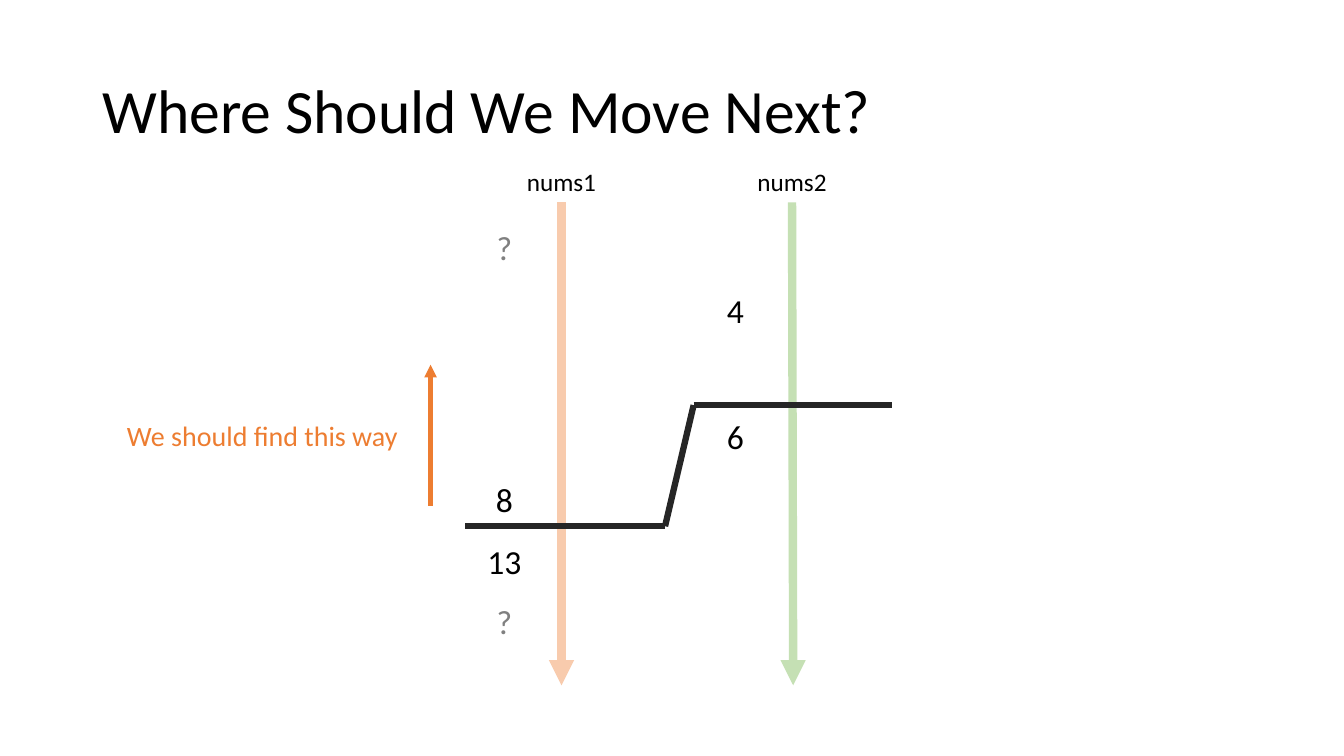
from lxml.etree import SubElement
from pptx import Presentation
from pptx.dml.color import RGBColor
from pptx.enum.shapes import MSO_CONNECTOR as CONN
from pptx.enum.text import MSO_ANCHOR as ANCHOR, MSO_AUTO_SIZE as FIT, PP_ALIGN as ALIGN
from pptx.oxml.ns import qn
from pptx.util import Cm, Pt

BLACK, GRAY, DARK, ORANGE = "000000", "808080", "262626", "ED7D31"

prs = Presentation()
prs.slide_width, prs.slide_height = Cm(33.87), Cm(19.05)
s = prs.slides.add_slide(prs.slide_layouts[6])


def add_text(text, x, y, w, h, size=24, color=BLACK, align=ALIGN.CENTER,
             anchor=ANCHOR.TOP, wrap=False, fit=FIT.SHAPE_TO_FIT_TEXT, spacing=1.0):
    tf = s.shapes.add_textbox(Cm(x), Cm(y), Cm(w), Cm(h)).text_frame
    tf.word_wrap, tf.auto_size, tf.vertical_anchor = wrap, fit, anchor
    p = tf.paragraphs[0]
    p.alignment, p.line_spacing = align, spacing
    r = p.add_run()
    r.text = text
    r.font.name, r.font.size = "Calibri", Pt(size)
    r.font.color.rgb = RGBColor.from_string(color)


def add_line(x1, y1, x2, y2, color, width, arrow=False):
    c = s.shapes.add_connector(CONN.STRAIGHT, Cm(x1), Cm(y1), Cm(x2), Cm(y2))
    c.line.color.rgb = RGBColor.from_string(color)
    c.line.width = Pt(width)
    if arrow:
        SubElement(c.line._get_or_add_ln(), qn("a:tailEnd"), type="triangle")
    SubElement(c._element.spPr, qn("a:effectLst"))


add_text("Where Should We Move Next?", 2.33, 1.02, 29.21, 3.68, size=44, align=ALIGN.LEFT,
         anchor=ANCHOR.MIDDLE, wrap=True, fit=FIT.NONE, spacing=0.9)

# Array axes: name, top x, bottom x, colour
for name, x1, x2, color in [("nums1", 14.15, 14.15, "F8CBAD"),
                            ("nums2", 19.96, 19.99, "C5E0B4")]:
    add_line(x1, 5.1, x2, 17.27, color, 6, arrow=True)
    add_text(name, x1 - 1.15, 4.06, 2.3, 1.02, size=18)

# Partition through both arrays
partition = [(11.73, 13.26), (16.76, 13.26), (17.48, 10.21), (22.48, 10.21)]
for start, end in zip(partition, partition[1:]):
    add_line(*start, *end, DARK, 4.5)

# Array values: text, centre x, top
nums1_x, nums2_x = 12.71, 18.53
for value, x, y in [("?", nums1_x, 5.59), ("8", nums1_x, 11.94),
                    ("13", nums1_x, 13.51), ("?", nums1_x, 15.01),
                    ("4", nums2_x, 7.19), ("6", nums2_x, 10.36)]:
    w = 0.51 + 0.43 * len(value)
    add_text(value, x - w / 2, y, w, 1.27, color=GRAY if value == "?" else BLACK)

# Search direction
add_line(10.85, 12.75, 10.85, 9.19, ORANGE, 3, arrow=True)
add_text("We should find this way", 2.95, 10.41, 7.39, 1.12, size=20, color=ORANGE,
         align=ALIGN.LEFT)

prs.save("out.pptx")
